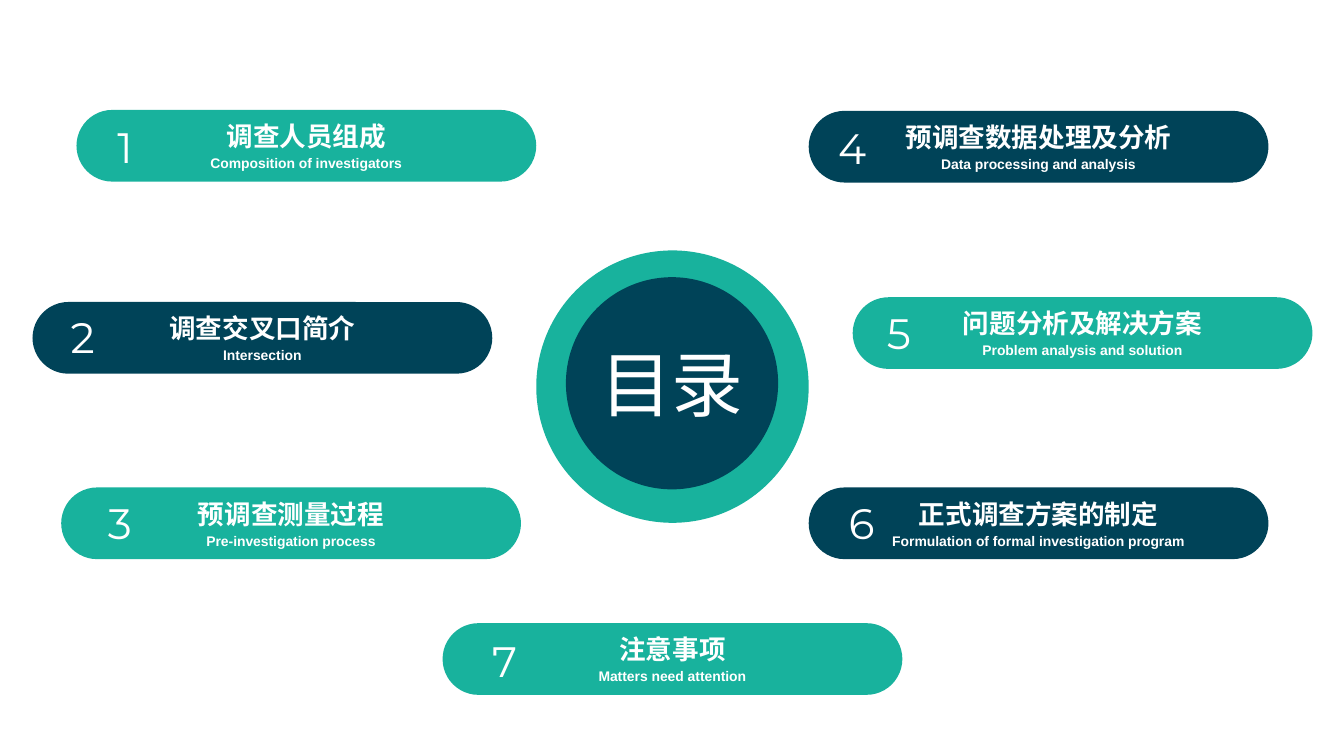
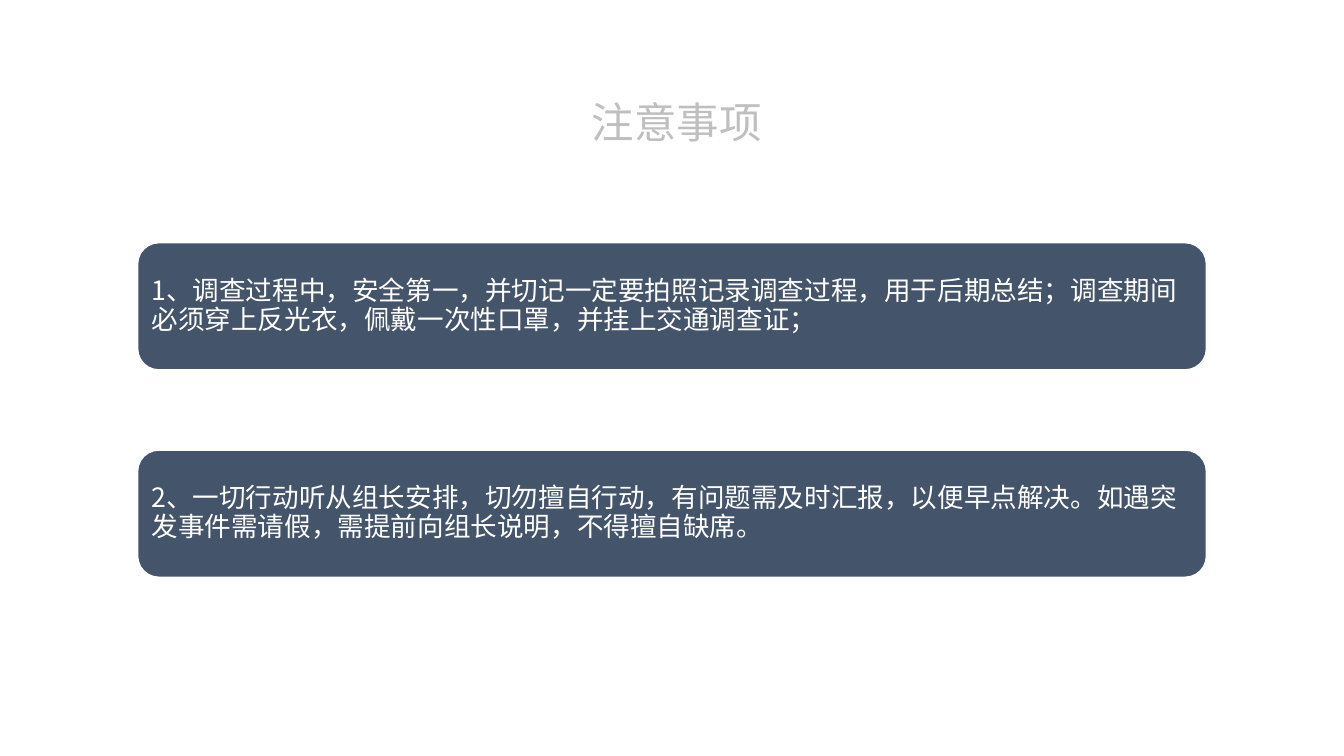
import pptx
import pptx.util
import pptx.dml.color
import pptx.enum.shapes
import pptx.enum.text
import pptx.oxml.ns
import lxml.etree

Inches = pptx.util.Inches
SHAPE = pptx.enum.shapes.MSO_SHAPE
ALIGN = pptx.enum.text.PP_ALIGN
ANCHOR = pptx.enum.text.MSO_ANCHOR

COLORS = {"teal": "18B29D", "navy": "004358", "slate": "44546A",
          "white": "FFFFFF", "gray": "BFBFBF"}
HAN = "Noto Sans CJK SC"
PILL = (4.81, 0.75)
TOPICS = [
    (0.8, 1.15, 0.33, 0.07, "调查人员组成", "Composition of investigators"),
    (0.34, 3.16, 0.3, 0.05, "调查交叉口简介", "Intersection"),
    (0.64, 5.1, 0.39, 0.05, "预调查测量过程", "Pre-investigation process"),
    (8.46, 1.16, 0.21, 0.07, "预调查数据处理及分析", "Data processing and analysis"),
    (8.92, 3.11, 0.26, 0.05, "问题分析及解决方案", "Problem analysis and solution"),
    (8.46, 5.1, 0.32, 0.05, "正式调查方案的制定", "Formulation of formal investigation program"),
    (4.63, 6.52, 0.42, 0.07, "注意事项", "Matters need attention"),
]
NOTES = [
    "1、调查过程中，安全第一，并切记一定要拍照记录调查过程，用于后期总结；调查期间必须穿上反光衣，佩戴一次性口罩，并挂上交通调查证；",
    "2、一切行动听从组长安排，切勿擅自行动，有问题需及时汇报，以便早点解决。如遇突发事件需请假，需提前向组长说明，不得擅自缺席。",
]


def tint(name):
    return pptx.dml.color.RGBColor.from_string(COLORS[name])


def write(frame, text, size, font="Arial", color="white", bold=False,
          align=ALIGN.LEFT, before=0, spacing=1.0):
    para = frame.paragraphs[0] if not frame.text else frame.add_paragraph()
    para.alignment = align
    para.line_spacing = spacing
    if before:
        para.space_before = pptx.util.Pt(before)
    run = para.add_run()
    run.text = text
    run.font.size = pptx.util.Pt(size)
    run.font.bold = bold
    run.font.name = font
    run.font.color.rgb = tint(color)
    east = lxml.etree.Element(pptx.oxml.ns.qn("a:ea"), typeface=HAN)
    run.font._element.find(pptx.oxml.ns.qn("a:latin")).addnext(east)


def block(slide, kind, box, fill, line=None, inset=0):
    shape = slide.shapes.add_shape(kind, *map(Inches, box))
    shape.shadow.inherit = False
    shape.fill.solid()
    shape.fill.fore_color.rgb = tint(fill)
    if line:
        shape.line.color.rgb = tint(line)
        shape.line.width = pptx.util.Pt(1)
    else:
        shape.line.fill.background()
    frame = shape.text_frame
    frame.word_wrap = True
    frame.vertical_anchor = ANCHOR.MIDDLE
    frame.margin_left = frame.margin_right = Inches(inset)
    frame.margin_top = frame.margin_bottom = Inches(inset)
    return shape


def label(slide, box, text, **style):
    frame = slide.shapes.add_textbox(*map(Inches, box)).text_frame
    frame.word_wrap = True
    write(frame, text, 32, **style)


def topic(slide, num, left, top, right, down, title, sub):
    fill = "teal" if num % 2 else "navy"
    pill = block(slide, SHAPE.ROUNDED_RECTANGLE, (left, top, *PILL), fill)
    pill.adjustments[0] = 0.5
    write(pill.text_frame, title, 20, bold=True, align=ALIGN.CENTER)
    write(pill.text_frame, sub, 10.5, bold=True, align=ALIGN.CENTER, before=2)
    label(slide, (left + right, top + down, 0.79, 0.64), str(num),
          font="Montserrat")


def agenda(slide):
    block(slide, SHAPE.OVAL, (5.61, 2.62, 2.85, 2.85), "teal")
    hub = block(slide, SHAPE.OVAL, (5.92, 2.9, 2.22, 2.22), "navy")
    write(hub.text_frame, "目录", 54, align=ALIGN.CENTER)
    for num, item in enumerate(TOPICS, 1):
        topic(slide, num, *item)


def notice(slide):
    label(slide, (6.09, 0.96, 2.99, 0.64), "注意事项", font=HAN, color="gray")
    for row, text in enumerate(NOTES):
        card = block(slide, SHAPE.ROUNDED_RECTANGLE,
                     (1.44, 2.54 + row * 2.17, 11.18, 1.33),
                     "slate", line="white", inset=0.08)
        write(card.text_frame, text, 20, font=HAN, spacing=0.9)


def main():
    deck = pptx.Presentation()
    deck.slide_width = Inches(14.06)
    deck.slide_height = Inches(7.91)
    for build in (agenda, notice):
        build(deck.slides.add_slide(deck.slide_layouts[6]))
    deck.save("out.pptx")


if __name__ == "__main__":
    main()
